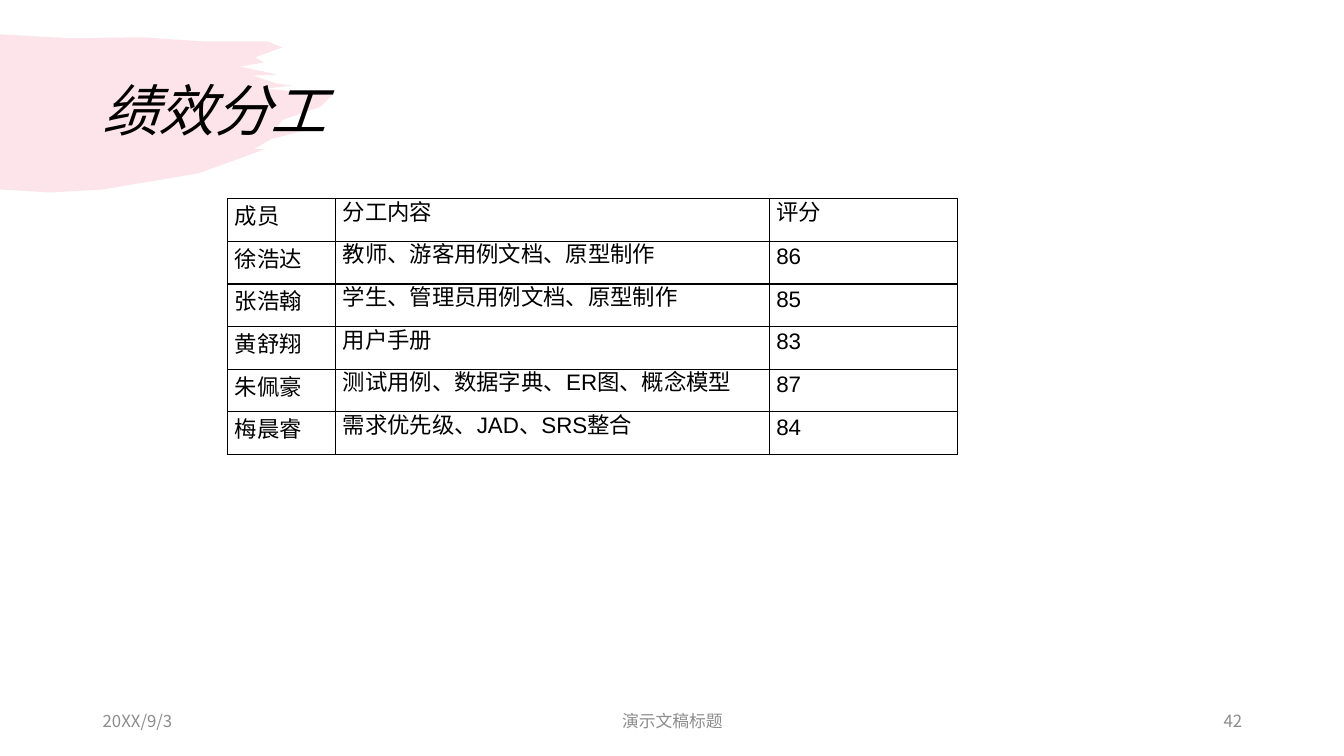
from lxml import etree
from pptx import Presentation
from pptx import util as u
from pptx.dml.color import RGBColor
from pptx.enum import text as t
from pptx.oxml import ns

CJK, LATIN = "Noto Sans CJK SC", "Arial"
BLACK, GREY, PINK = "000000", "8C8C8C", "F07C98"

MEMBERS = [
    ("成员", "分工内容", "评分"),
    ("徐浩达", "教师、游客用例文档、原型制作", "86"),
    ("张浩翰", "学生、管理员用例文档、原型制作", "85"),
    ("黄舒翔", "用户手册", "83"),
    ("朱佩豪", "测试用例、数据字典、ER图、概念模型", "87"),
    ("梅晨睿", "需求优先级、JAD、SRS整合", "84"),
]

# Outline of the brush stroke, clockwise from the top left corner.
BRUSH = [
    (0, 0.34), (0.7, 0.38), (1.4, 0.37), (2, 0.41), (2.65, 0.41), (2.8, 0.47),
    (2.53, 0.57), (2.62, 0.62), (2.38, 0.66), (2.75, 0.74), (2.51, 0.75),
    (2.75, 0.83), (2.9, 0.85), (2.63, 0.88), (3.3, 0.94), (3.18, 1.06),
    (2.8, 1.19), (2.74, 1.28), (3.08, 1.28), (2.69, 1.38), (2.52, 1.48),
    (2.63, 1.48), (1.97, 1.72), (1.02, 1.88), (0.5, 1.91), (0, 1.88),
]


def color(code):
    return RGBColor.from_string(code)


def add_xml(parent, tag, **attributes):
    return etree.SubElement(parent, ns.qn(tag), attributes)


def write(frame, text, size=16, font=CJK, fill=BLACK, italic=False,
          align=t.PP_ALIGN.LEFT, spacing=None, after=None):
    """Fill a text frame with one formatted paragraph."""
    para = frame.paragraphs[0]
    para.alignment, para.line_spacing, para.space_after = align, spacing, after
    span = para.add_run()
    span.text = text
    span.font.size, span.font.name = u.Pt(size), font
    span.font.italic, span.font.color.rgb = italic, color(fill)
    add_xml(span.font._element, "a:ea", typeface=CJK)


class Page:
    def __init__(self, deck):
        self.slide = deck.slides.add_slide(deck.slide_layouts[5])
        self.shapes = self.slide.shapes

    def brush(self, points, fill, opacity):
        corners = [(u.Inches(x), u.Inches(y)) for x, y in points]
        builder = self.shapes.build_freeform(*corners[0])
        builder.add_line_segments(corners[1:])
        stroke = builder.convert_to_shape()
        stroke.shadow.inherit = False
        stroke.line.fill.background()
        stroke.fill.solid()
        stroke.fill.fore_color.rgb = color(fill)
        tint = stroke._element.spPr.find(".//" + ns.qn("a:srgbClr"))
        add_xml(tint, "a:alpha", val=str(opacity * 1000))
        self.shapes._spTree.insert(2, stroke._element)

    def title(self, text, left, top, width, height):
        box = self.shapes.title
        box.left, box.top = u.Inches(left), u.Inches(top)
        box.width, box.height = u.Inches(width), u.Inches(height)
        frame = box.text_frame
        frame.auto_size = t.MSO_AUTO_SIZE.NONE
        frame.vertical_anchor = t.MSO_ANCHOR.MIDDLE
        write(frame, text, size=40, italic=True, spacing=0.9)

    def footer(self, text, left, width, align):
        box = self.shapes.add_textbox(u.Inches(left), u.Inches(6.95), u.Inches(width), u.Inches(0.4))
        frame = box.text_frame
        frame.word_wrap = True
        frame.vertical_anchor = t.MSO_ANCHOR.MIDDLE
        write(frame, text, size=12, fill=GREY, align=align)

    def table(self, rows, left, top, widths, height):
        table = self.shapes.add_table(len(rows), len(widths), u.Inches(left), u.Inches(top),
                                      u.Inches(sum(widths)), u.Inches(height)).table
        table.first_row = table.horz_banding = False
        for column, width in zip(table.columns, widths):
            column.width = u.Inches(width)
        for i, row in enumerate(rows):
            table.rows[i].height = u.Inches(height / len(rows))
            for j, value in enumerate(row):
                cell = table.cell(i, j)
                self.cell_style(cell)
                if j == 0:
                    write(cell.text_frame, value)
                else:
                    write(cell.text_frame, value, font=LATIN, align=t.PP_ALIGN.JUSTIFY,
                          spacing=u.Pt(20), after=u.Pt(12))

    def cell_style(self, cell):
        cell.margin_left = cell.margin_right = u.Inches(0.07)
        cell.margin_top = cell.margin_bottom = 0
        properties = cell._tc.get_or_add_tcPr()
        for side in "LRTB":
            border = add_xml(properties, "a:ln" + side, w=str(u.Pt(1)))
            add_xml(add_xml(border, "a:solidFill"), "a:srgbClr", val=BLACK)
        cell.fill.background()


def main():
    deck = Presentation()
    deck.slide_width, deck.slide_height = u.Inches(13.33), u.Inches(7.5)
    page = Page(deck)
    page.brush(BRUSH, PINK, opacity=20)
    page.title("绩效分工", 0.92, 0.4, 11.5, 1.45)
    page.footer("20XX/9/3", 0.92, 3, t.PP_ALIGN.LEFT)
    page.footer("演示文稿标题", 4.42, 4.5, t.PP_ALIGN.CENTER)
    page.footer("42", 9.42, 3, t.PP_ALIGN.RIGHT)
    page.table(MEMBERS, 2.26, 1.97, (1.07, 4.3, 1.87), 2.54)
    deck.save("out.pptx")


if __name__ == "__main__":
    main()
